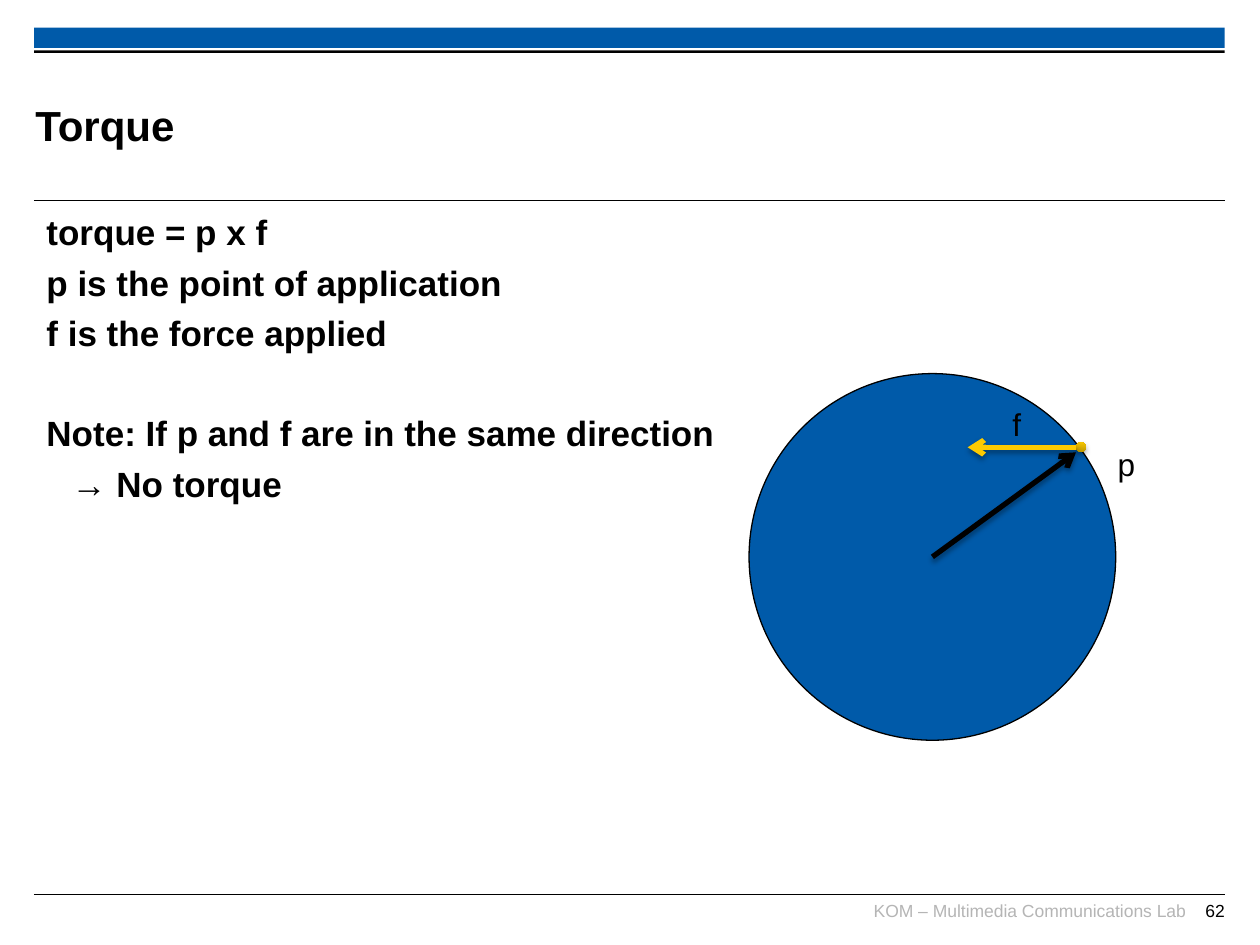
from lxml import etree
from pptx import Presentation
from pptx.dml.color import RGBColor
from pptx.enum import shapes, text
from pptx.oxml.ns import qn
from pptx.util import Inches, Pt

COLORS = {"blue": "005AA9", "black": "000000", "grey": "B5B5B5",
          "yellow": "FDCA00", "dark gold": "BD9700", "gold": "F6C500"}
FONT = "Arial"

# Content
TITLE = "Torque"
# wording, left indent (in), first-line indent (in), space before (pt)
BODY = [
    ("torque = p x f", 0.2, -0.2, 0),
    ("p is the point of application", 0.2, -0.2, 5),
    ("f is the force applied", 0.2, -0.2, 5),
    ("Note: If p and f are in the same direction", 0.2, -0.2, 33),
    ("→ No torque", 0.2, 0, 5),
]
FOOTER = "KOM – Multimedia Communications Lab"
PAGE = "62"
LEFT, WIDTH = 0.27, 9.45
RULES = [1.59, 7.1]
BARS = [("blue", 0.22, 0.16), ("black", 0.4, 0.02)]
CENTER, RADIUS = (7.4, 4.42), 1.455
POINT, POINT_RADIUS = (8.58, 3.55), 0.04
ARROWS = [("black", CENTER, (8.54, 3.59)), ("yellow", (8.54, 3.55), (7.68, 3.55))]
LABELS = [("p", (8.77, 3.51, 0.34, 0.38)), ("f", (7.85, 3.19, 0.44, 0.38))]

prs = Presentation()
prs.slide_width, prs.slide_height = Inches(10), Inches(7.5)
slide = prs.slides.add_slide(prs.slide_layouts[6])


def rgb(color):
    return RGBColor.from_string(COLORS[color])


def add_text(box, lines, size, color="black", bold=False, align=text.PP_ALIGN.LEFT,
             anchor=text.MSO_ANCHOR.TOP, inset=True, wrap=True):
    frame = slide.shapes.add_textbox(*map(Inches, box)).text_frame
    frame.word_wrap = wrap
    frame.vertical_anchor = anchor
    if not inset:
        frame.margin_left = frame.margin_right = 0
        frame.margin_top = frame.margin_bottom = 0
    frame.text = "\n".join(lines)
    for paragraph in frame.paragraphs:
        paragraph.alignment = align
        for run in paragraph.runs:
            run.font.name, run.font.size, run.font.bold = FONT, Pt(size), bold
            run.font.color.rgb = rgb(color)
    return frame


def add_shape(kind, box, color):
    shape = slide.shapes.add_shape(kind, *map(Inches, box))
    shape.shadow.inherit = False
    shape.fill.solid()
    shape.fill.fore_color.rgb = rgb(color)
    shape.line.fill.background()
    return shape


def add_disc(center, radius, color):
    x, y = center
    box = (x - radius, y - radius, 2 * radius, 2 * radius)
    return add_shape(shapes.MSO_SHAPE.OVAL, box, color)


def add_line(start, end, color, width):
    line = slide.shapes.add_connector(shapes.MSO_CONNECTOR.STRAIGHT,
                                      *map(Inches, start + end))
    line.line.color.rgb = rgb(color)
    line.line.width = Pt(width)
    etree.SubElement(line._element.spPr, qn("a:effectLst"))
    return line


def add_shadow(shape):
    effects = shape._element.spPr.find(qn("a:effectLst"))
    shadow = etree.SubElement(effects, qn("a:outerShdw"), blurRad=str(Pt(3.1)),
                              dist=str(Pt(1.8)), dir="5400000", rotWithShape="0")
    tint = etree.SubElement(shadow, qn("a:srgbClr"), val=COLORS["black"])
    etree.SubElement(tint, qn("a:alpha"), val="35000")


# Header bars and rules
for color, top, height in BARS:
    add_shape(shapes.MSO_SHAPE.RECTANGLE, (LEFT, top, WIDTH, height), color)
for y in RULES:
    add_line((LEFT, y), (LEFT + WIDTH, y), "black", 0.6)

# Footer
add_text((6.81, 7.14, 2.6, 0.25), [FOOTER], 10, "grey",
         align=text.PP_ALIGN.RIGHT, inset=False)
add_text((9.29, 7.14, 0.43, 0.24), [PAGE], 10, align=text.PP_ALIGN.RIGHT, inset=False)

# Title and body
add_text((0.28, 0.53, 7.52, 0.92), [TITLE], 24, bold=True,
         anchor=text.MSO_ANCHOR.MIDDLE, inset=False)
body = add_text((LEFT, 1.62, WIDTH, 5.43), [line[0] for line in BODY], 20, bold=True)
for paragraph, (_, left, first, before) in zip(body.paragraphs, BODY):
    paragraph.space_before = Pt(before)
    properties = paragraph._p.get_or_add_pPr()
    properties.set("marL", str(Inches(left)))
    properties.set("indent", str(Inches(first)))

# Disc and point of application
disc = add_disc(CENTER, RADIUS, "blue")
disc.line.color.rgb = rgb("black")
disc.line.width = Pt(0.75)
point = add_disc(POINT, POINT_RADIUS, "gold")
point.fill.gradient()
point.fill.gradient_angle = 90
for stop, color in zip(point.fill.gradient_stops, ("dark gold", "gold")):
    stop.color.rgb = rgb(color)
add_shadow(point)

# Vectors and their labels
for color, start, end in ARROWS:
    arrow = add_line(start, end, color, 3)
    etree.SubElement(arrow.line._get_or_add_ln(), qn("a:tailEnd"), type="arrow")
    add_shadow(arrow)
for label, box in LABELS:
    frame = add_text(box, [label], 18, align=text.PP_ALIGN.CENTER, wrap=label == "f")
    frame.paragraphs[0].line_spacing = 0.93

prs.save("out.pptx")
